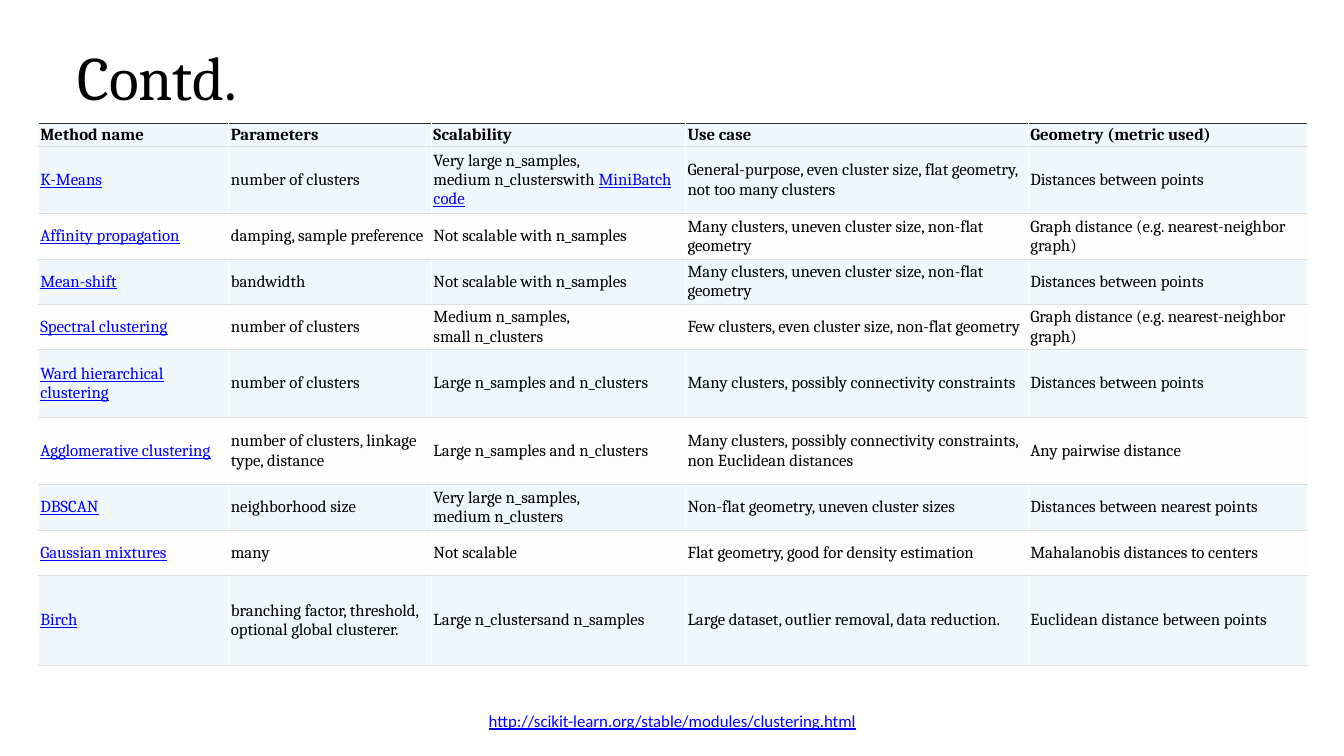
from pptx import Presentation, util as u
from pptx.dml.color import RGBColor
from pptx.enum import text as t
from pptx.oxml import parse_xml
from pptx.oxml.ns import nsdecls

WIDTH, HEIGHT = 13.33, 7.5
BLACK, LINK = "000000", "0000FF"
RULE, TOP_RULE = "DDDDDD", "333333"
BANDS = ("F0F7FA", "FDFDFD")
COLUMNS = (1.89, 2.01, 2.52, 3.4, 2.77)
ROWS = (0.23, 0.67, 0.45, 0.45, 0.45, 0.67, 0.67, 0.45, 0.45, 0.89)
EMBEDDED_LINK = "MiniBatch code"

METHODS = (
    ("Method name", "Parameters", "Scalability", "Use case",
     "Geometry (metric used)"),
    ("K-Means", "number of clusters",
     "Very large n_samples, medium n_clusterswith MiniBatch code",
     "General-purpose, even cluster size, flat geometry, not too many clusters",
     "Distances between points"),
    ("Affinity propagation", "damping, sample preference",
     "Not scalable with n_samples",
     "Many clusters, uneven cluster size, non-flat geometry",
     "Graph distance (e.g. nearest-neighbor graph)"),
    ("Mean-shift", "bandwidth", "Not scalable with n_samples",
     "Many clusters, uneven cluster size, non-flat geometry",
     "Distances between points"),
    ("Spectral clustering", "number of clusters",
     "Medium n_samples, small n_clusters",
     "Few clusters, even cluster size, non-flat geometry",
     "Graph distance (e.g. nearest-neighbor graph)"),
    ("Ward hierarchical clustering", "number of clusters",
     "Large n_samples and n_clusters",
     "Many clusters, possibly connectivity constraints",
     "Distances between points"),
    ("Agglomerative clustering", "number of clusters, linkage type, distance",
     "Large n_samples and n_clusters",
     "Many clusters, possibly connectivity constraints, non Euclidean distances",
     "Any pairwise distance"),
    ("DBSCAN", "neighborhood size", "Very large n_samples, medium n_clusters",
     "Non-flat geometry, uneven cluster sizes",
     "Distances between nearest points"),
    ("Gaussian mixtures", "many", "Not scalable",
     "Flat geometry, good for density estimation",
     "Mahalanobis distances to centers"),
    ("Birch", "branching factor, threshold, optional global clusterer.",
     "Large n_clustersand n_samples",
     "Large dataset, outlier removal, data reduction.",
     "Euclidean distance between points"),
)


def color(value):
    return RGBColor.from_string(value)


def write(para, words, size=12, font="Cambria", fill=BLACK, bold=False,
          underline=False):
    span = para.add_run()
    span.text = words
    span.font.size, span.font.name = u.Pt(size), font
    span.font.bold, span.font.underline = bold, underline
    span.font.color.rgb = color(fill)
    return span


def write_link(para, words, **look):
    return write(para, words, fill=LINK, underline=True, **look)


def place(box, left, top, width, height):
    box.left, box.top = u.Inches(left), u.Inches(top)
    box.width, box.height = u.Inches(width), u.Inches(height)


def set_borders(cell, **lines):
    """Draw half-point cell borders; keys are side tags such as lnT."""
    properties = cell._tc.get_or_add_tcPr()
    for position, (side, value) in enumerate(lines.items()):
        properties.insert(position, parse_xml(
            f'<a:{side} {nsdecls("a")} w="6350"><a:solidFill>'
            f'<a:srgbClr val="{value}"/></a:solidFill></a:{side}>'))


def fill_cell(cell, words, row, column):
    cell.margin_left, cell.margin_right = u.Inches(0.02), u.Inches(0.04)
    cell.margin_top = cell.margin_bottom = 0
    cell.vertical_anchor = t.MSO_ANCHOR.MIDDLE
    cell.fill.solid()
    cell.fill.fore_color.rgb = color(BANDS[max(row - 1, 0) % 2])
    set_borders(cell, lnT=RULE if row else TOP_RULE, lnB=RULE)
    # Each n_ variable stays on the same line as the word before it.
    words = words.replace(" n_", chr(160) + "n_")
    para = cell.text_frame.paragraphs[0]
    if row and column == 0:
        write_link(para, words)
        return
    plain, link, _ = words.partition(EMBEDDED_LINK)
    write(para, plain, bold=row == 0)
    if link:
        write_link(para, link)


def add_title(page, words):
    title = page.shapes.title
    place(title, WIDTH * 0.05, HEIGHT * 0.04, WIDTH * 0.9, 1)
    frame = title.text_frame
    frame.auto_size = t.MSO_AUTO_SIZE.NONE
    frame.vertical_anchor = t.MSO_ANCHOR.MIDDLE
    para = frame.paragraphs[0]
    para.alignment, para.line_spacing = t.PP_ALIGN.LEFT, 0.9
    span = write(para, words, size=44)
    span.font._element.set("spc", "-10")


def add_methods_table(page, left, top):
    frame = page.shapes.add_table(
        len(ROWS), len(COLUMNS), u.Inches(left), u.Inches(top),
        u.Inches(sum(COLUMNS)), u.Inches(sum(ROWS)))
    table = frame.table
    for column, width in zip(table.columns, COLUMNS):
        column.width = u.Inches(width)
    for row, height in zip(table.rows, ROWS):
        row.height = u.Inches(height)
    for row, entries in enumerate(METHODS):
        for column, words in enumerate(entries):
            fill_cell(table.cell(row, column), words, row, column)


def add_address(page, words):
    box = page.shapes.add_textbox(0, 0, 0, 0)
    place(box, 4.56, 6.95, 4.22, 0.4)
    frame = box.text_frame
    frame.word_wrap = True
    frame.vertical_anchor = t.MSO_ANCHOR.MIDDLE
    para = frame.paragraphs[0]
    para.alignment = t.PP_ALIGN.CENTER
    write_link(para, words, font="Calibri")


def main():
    deck = Presentation()
    deck.slide_width, deck.slide_height = u.Inches(WIDTH), u.Inches(HEIGHT)
    page = deck.slides.add_slide(deck.slide_layouts.get_by_name("Title Only"))
    add_methods_table(page, 0.38, 1.22)
    add_address(page, "http://scikit-learn.org/stable/modules/clustering.html")
    add_title(page, "Contd.")
    deck.save("out.pptx")


if __name__ == "__main__":
    main()
